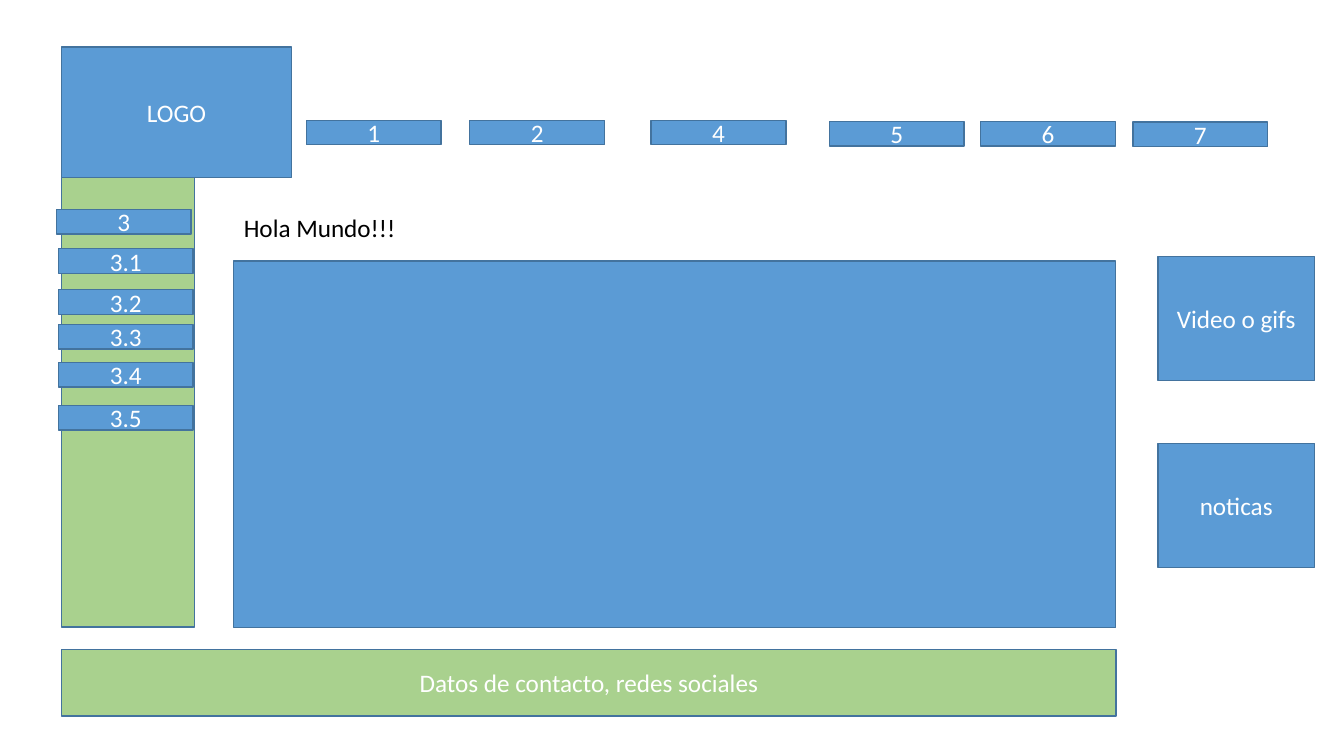
from pptx import Presentation
from pptx.dml.color import RGBColor
from pptx.enum.shapes import MSO_SHAPE as Shape
from pptx.enum.text import MSO_ANCHOR as Anchor, MSO_AUTO_SIZE as AutoSize, PP_ALIGN as Align
from pptx.util import Cm, Pt

BLUE = RGBColor(0x5B, 0x9B, 0xD5)
GREEN = RGBColor(0xA9, 0xD1, 0x8E)
OUTLINE = RGBColor(0x43, 0x73, 0x9E)
WHITE = RGBColor(0xFF, 0xFF, 0xFF)
BLACK = RGBColor(0x00, 0x00, 0x00)

BUTTON_WIDTH, BUTTON_HEIGHT = 3.4, 0.62


def write_text(shape, text, color, align, anchor):
    frame = shape.text_frame
    frame.word_wrap = True
    frame.auto_size = AutoSize.NONE
    frame.vertical_anchor = anchor
    paragraph = frame.paragraphs[0]
    paragraph.alignment = align
    run = paragraph.add_run()
    run.text = text
    run.font.name = "Calibri"
    run.font.size = Pt(18)
    run.font.color.rgb = color


def add_block(slide, left, top, width, height, text="", fill=BLUE):
    block = slide.shapes.add_shape(
        Shape.RECTANGLE, Cm(left), Cm(top), Cm(width), Cm(height))
    block.shadow.inherit = False
    block.fill.solid()
    block.fill.fore_color.rgb = fill
    block.line.color.rgb = OUTLINE
    block.line.width = Pt(1)
    if text:
        write_text(block, text, WHITE, Align.CENTER, Anchor.MIDDLE)


def add_navigation(slide, left, top):
    """Top row of buttons, as offsets from its upper left corner."""
    buttons = [("1", 0, 0), ("2", 4.12, 0), ("4", 8.69, 0),
               ("5", 13.18, 0.03), ("6", 16.99, 0.03), ("7", 20.83, 0.05)]
    for label, across, down in buttons:
        add_block(slide, left + across, top + down, BUTTON_WIDTH, BUTTON_HEIGHT, label)


def add_sidebar(slide, left, top, width, height):
    """Green column with the section button and its subsections."""
    add_block(slide, left, top, width, height, fill=GREEN)
    buttons = [("3", -0.13, 3.25), ("3.1", -0.08, 4.24), ("3.2", -0.08, 5.27),
               ("3.3", -0.08, 6.15), ("3.4", -0.08, 7.1), ("3.5", -0.08, 8.19)]
    for label, across, down in buttons:
        add_block(slide, left + across, top + down, BUTTON_WIDTH, BUTTON_HEIGHT, label)


def add_content(slide, left, top, width, height):
    """Heading with the main panel below it."""
    title = slide.shapes.title
    title.left, title.top, title.width, title.height = (
        Cm(left), Cm(top), Cm(17.65), Cm(1.07))
    write_text(title, "Hola Mundo!!!", BLACK, Align.LEFT, Anchor.TOP)
    panel_offset = 1.35
    add_block(slide, left, top + panel_offset, width, height - panel_offset)


def add_side_cards(slide, left, top, width, height):
    """Two equal cards at the top and bottom of the right column."""
    card_height = 3.13
    for index, label in enumerate(["Video o gifs", "noticas"]):
        card_top = top + index * (height - card_height)
        add_block(slide, left, card_top, width, card_height, label)


def main():
    presentation = Presentation()
    presentation.slide_width = Cm(33.87)
    presentation.slide_height = Cm(19.05)
    slide = presentation.slides.add_slide(presentation.slide_layouts[5])

    # Left column, with the logo block over its upper end
    add_sidebar(slide, 1.55, 2.03, 3.36, 13.77)
    add_block(slide, 1.55, 1.19, 5.8, 3.29, "LOGO")

    # Navigation and content
    add_navigation(slide, 7.72, 3.03)
    add_content(slide, 5.89, 5.23, 22.23, 10.59)
    add_side_cards(slide, 29.18, 6.46, 3.95, 7.84)

    # Footer
    add_block(slide, 1.55, 16.36, 26.58, 1.68,
              "Datos de contacto, redes sociales", GREEN)

    presentation.save("out.pptx")


if __name__ == "__main__":
    main()
